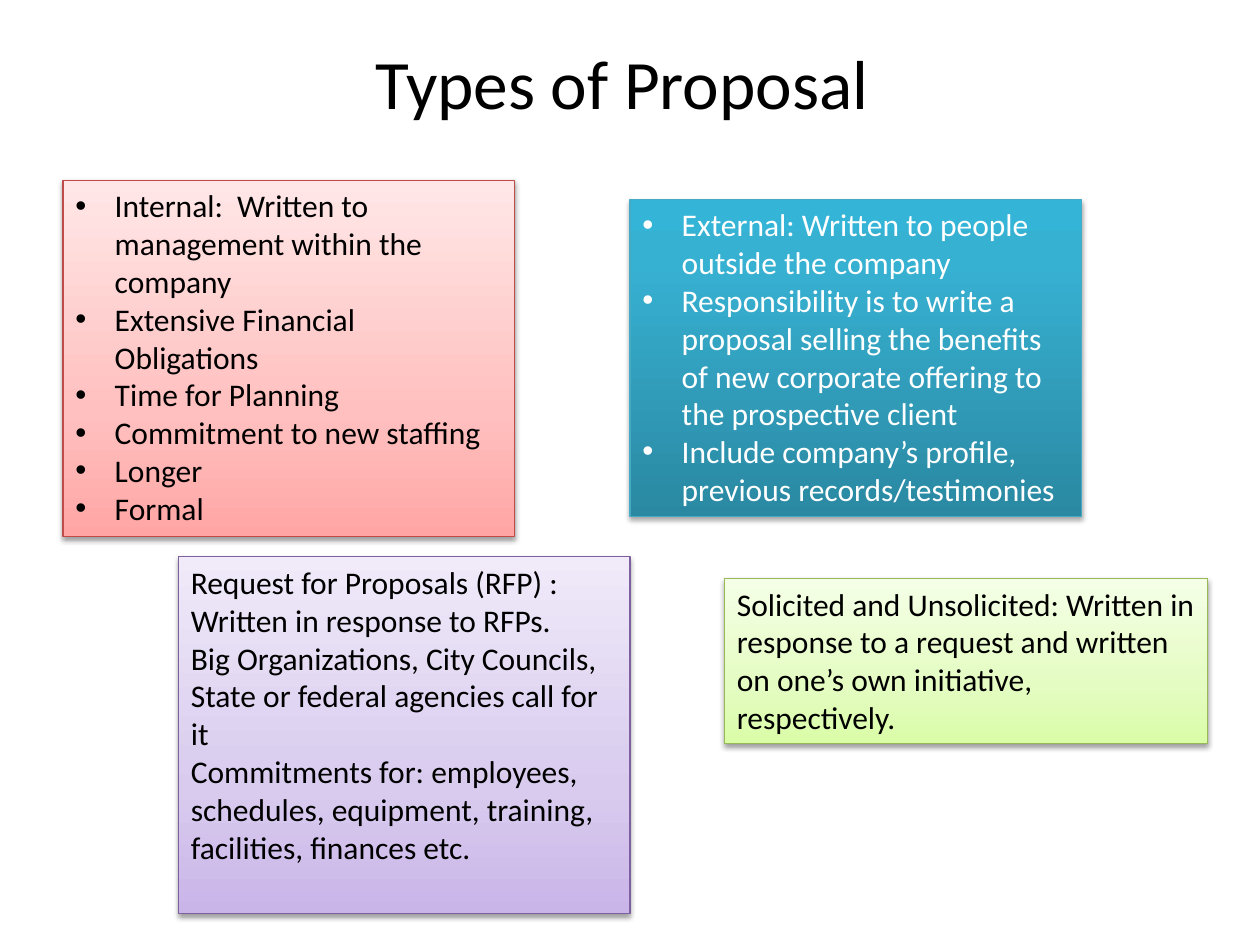
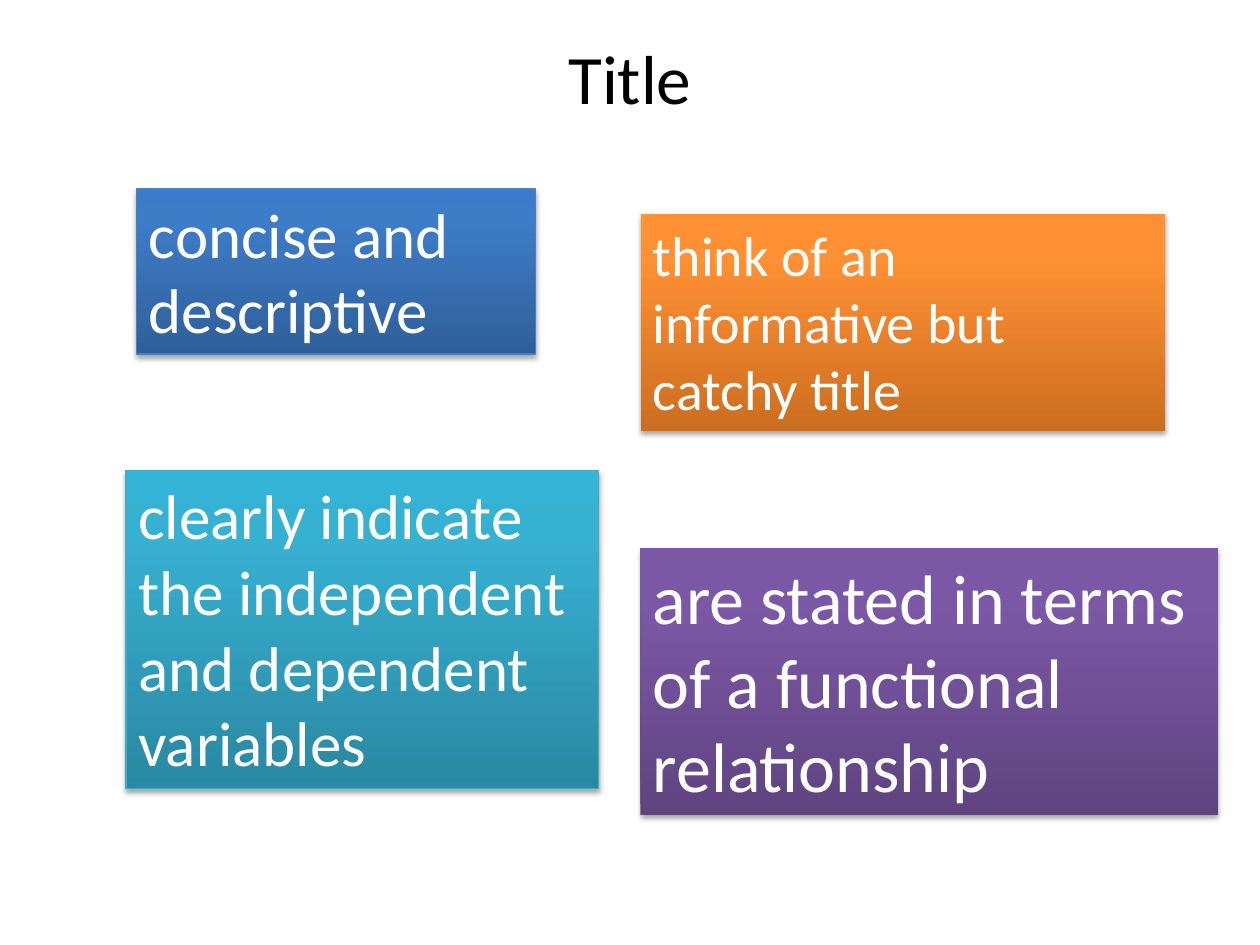
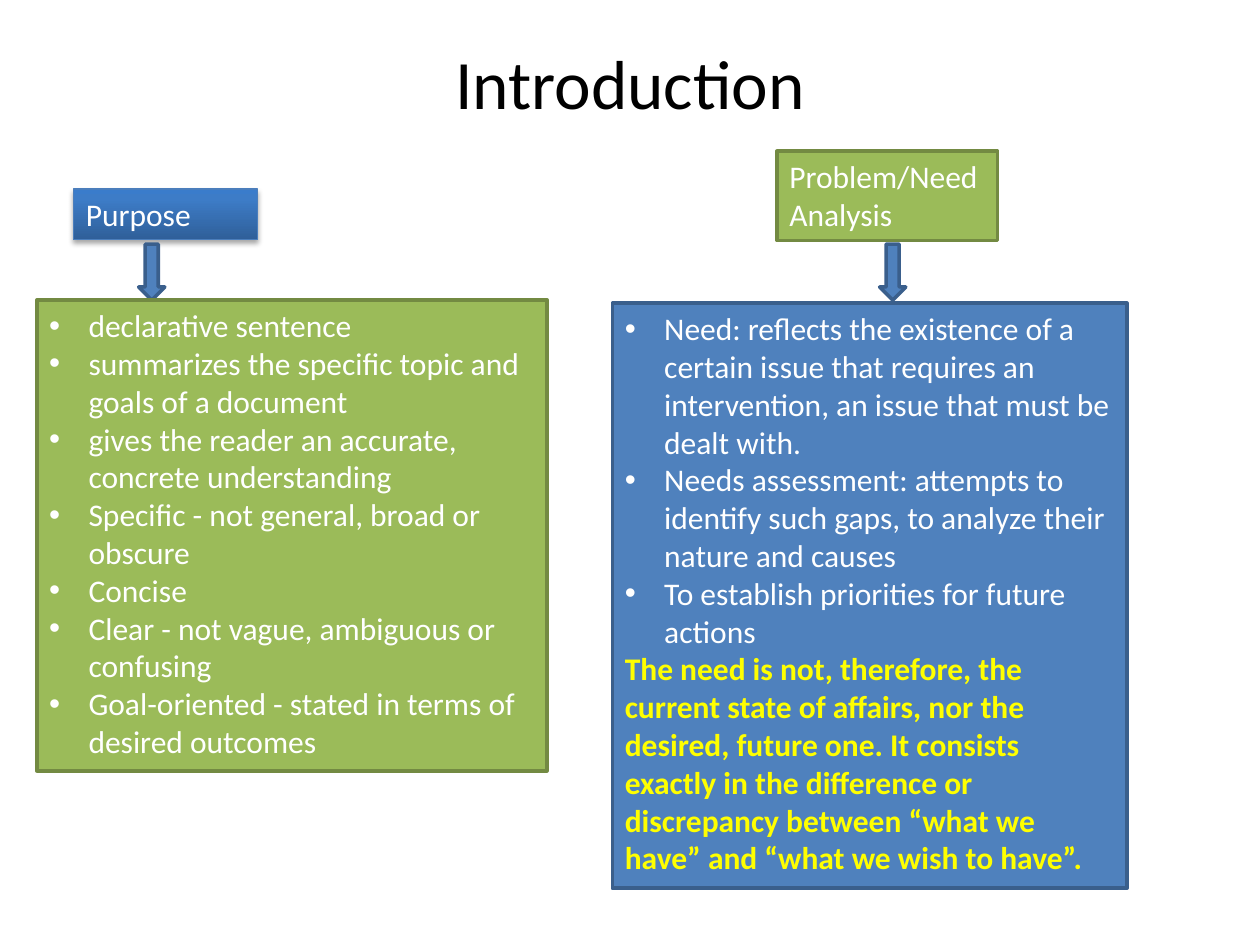
from dataclasses import dataclass
from typing import Optional

from lxml.etree import SubElement
from pptx import Presentation
from pptx.dml.color import RGBColor
from pptx.enum.shapes import MSO_SHAPE as Shape
from pptx.enum.text import MSO_ANCHOR as Anchor, MSO_AUTO_SIZE as AutoSize, PP_ALIGN as Align
from pptx.oxml.ns import qn
from pptx.util import Pt


@dataclass
class Look:
    """Fill stops run from the bottom of a card to its top."""
    ink: str
    stops: tuple
    line: Optional[str]
    line_width: float = 0.75
    shadow: Optional[tuple] = None  # opacity in %, distance in points


class Theme:
    font = "Calibri"
    black, white, yellow = "000000", "FFFFFF", "FFFF00"
    title_size, text_size = 39.6, 18
    large, larger, largest = 32, 36, 40
    bullet_indent = 22.5
    shadow_blur = 3.1
    soft, strong = (38, 1.6), (35, 1.8)

    pale_red = Look(black, ((0, "FFA6A5"), (35, "FFC0BF"), (100, "FFE7E7")), "BF4C48", shadow=soft)
    pale_purple = Look(black, ((0, "C9B5E8"), (35, "D8CBEE"), (100, "F0EAF9")), "7D60A0", shadow=soft)
    pale_green = Look(black, ((0, "DAFDA7"), (35, "E4FCC2"), (100, "F5FFE7")), "98B955", shadow=soft)
    teal = Look(white, ((0, "2A88A2"), (80, "37B1D2"), (100, "34B4D6")), "46AAC5", shadow=strong)
    blue = Look(white, ((0, "2F5F99"), (80, "3D7CC7"), (100, "3A7CCB")), "4B7EBC", shadow=strong)
    purple = Look(white, ((0, "5F4480"), (80, "7B58A6"), (100, "7C57A8")), None, shadow=strong)
    orange = Look(white, ((0, "CC6E20"), (80, "FF9034"), (100, "FF9136")), None, shadow=strong)
    flat_green = Look(white, ((0, "9BBB59"),), "738A42", 2)
    flat_blue = Look(white, ((0, "4F81BD"),), "3A5F8C", 2)


def write_para(frame, text, size=Theme.text_size, color=Theme.black, bold=False,
               bullet=False, align=Align.LEFT):
    """Fill the frame's empty first paragraph, or add another one."""
    para = frame.paragraphs[0] if not frame.text else frame.add_paragraph()
    para.alignment = align
    if bullet:
        props = para._p.get_or_add_pPr()
        props.set("marL", str(Pt(Theme.bullet_indent)))
        props.set("indent", str(-Pt(Theme.bullet_indent)))
        SubElement(props, qn("a:buFont"), typeface="Arial")
        SubElement(props, qn("a:buChar"), char="•")
    span = para.add_run()
    span.text = text
    span.font.name = Theme.font
    span.font.size = Pt(size)
    span.font.bold = bold
    span.font.color.rgb = RGBColor.from_string(color)


def add_card(page, place, look, texts=(), kind=Shape.RECTANGLE, **text_format):
    """Draw a shape in the given look and return its text frame."""
    box = page.shapes.add_shape(kind, *map(Pt, place))
    if len(look.stops) == 1:
        box.fill.solid()
        box.fill.fore_color.rgb = RGBColor.from_string(look.stops[0][1])
    else:
        box.fill.gradient()
        box.fill.gradient_angle = 90
        stop_list = box._element.spPr.find(qn("a:gradFill")).find(qn("a:gsLst"))
        stop_list.clear()
        for percent, color in look.stops:
            stop = SubElement(stop_list, qn("a:gs"), pos=str(percent * 1000))
            SubElement(stop, qn("a:srgbClr"), val=color)
    if look.line:
        box.line.color.rgb = RGBColor.from_string(look.line)
        box.line.width = Pt(look.line_width)
    else:
        box.line.fill.background()

    box.shadow.inherit = False
    if look.shadow:
        opacity, distance = look.shadow
        effects = box._element.spPr.find(qn("a:effectLst"))
        shadow = SubElement(effects, qn("a:outerShdw"), blurRad=str(Pt(Theme.shadow_blur)),
                            dist=str(Pt(distance)), dir="5400000", rotWithShape="0")
        shade = SubElement(shadow, qn("a:srgbClr"), val=Theme.black)
        SubElement(shade, qn("a:alpha"), val=str(opacity * 1000))

    frame = box.text_frame
    frame.word_wrap = True
    frame.vertical_anchor = Anchor.TOP
    for text in texts:
        write_para(frame, text, color=look.ink, **text_format)
    return frame


deck = Presentation()
deck.slide_width, deck.slide_height = Pt(720), Pt(540)

pages = []
for heading, height in (("Types of Proposal ", 50.4), ("Title", 44.6), ("Introduction", 50.4)):
    page = deck.slides.add_slide(deck.slide_layouts[5])
    title = page.shapes.title
    title.left, title.top, title.width, title.height = map(Pt, (36, 21.6, 648, height))
    title.text_frame.auto_size = AutoSize.NONE
    title.text_frame.vertical_anchor = Anchor.MIDDLE
    write_para(title.text_frame, heading, size=Theme.title_size, align=Align.CENTER)
    pages.append(page)
types_page, title_page, intro_page = pages

# Types of proposal
add_card(types_page, (36, 103, 258, 203.8), Theme.pale_red, (
    "Internal:  Written to management within the company",
    "Extensive Financial Obligations",
    "Time for Planning",
    "Commitment to new staffing",
    "Longer",
    "Formal",
), bullet=True)
add_card(types_page, (360, 113.8, 258, 181.4), Theme.teal, (
    "External: Written to people outside the company",
    "Responsibility is to write a proposal selling the benefits of new corporate offering "
    "to the prospective client",
    "Include company’s profile, previous records/testimonies",
), bullet=True)
add_card(types_page, (102, 318.2, 258, 203.8), Theme.pale_purple, (
    "Request for Proposals (RFP) : Written in response to RFPs.",
    "Big Organizations, City Councils, State or federal agencies call for it",
    "Commitments for: employees, schedules, equipment, training, facilities, finances etc.",
))
add_card(types_page, (414, 330.5, 276, 94.3), Theme.pale_green, (
    "Solicited and Unsolicited: Written in response to a request and written "
    "on one’s own initiative, respectively.",
))

# Qualities of a title
for place, look, size, text in (
    ((78, 108, 228, 94.3), Theme.blue, Theme.larger, "concise and descriptive"),
    ((366, 313.2, 330, 152.6), Theme.purple, Theme.largest,
     "are stated in terms of a functional relationship"),
    ((72, 269, 270, 181.4), Theme.teal, Theme.larger,
     "clearly indicate the independent and dependent variables"),
    ((366, 122.4, 300, 123.8), Theme.orange, Theme.large,
     "think of an informative but catchy title"),
):
    add_card(title_page, place, look, (text,), size=size)

# Parts of the introduction
add_card(intro_page, (42, 108, 105, 29), Theme.blue, ("Purpose",))
add_card(intro_page, (444, 86.4, 126, 51), Theme.flat_green, ("Problem/Need Analysis",))
for arrow_left in (79.2, 502.6):
    add_card(intro_page, (arrow_left, 139.5, 15, 32), Theme.flat_blue, kind=Shape.DOWN_ARROW)
add_card(intro_page, (21, 171.5, 291.6, 269), Theme.flat_green, (
    "declarative sentence",
    "summarizes the specific topic and goals of a document",
    "gives the reader an accurate, concrete understanding",
    "Specific - not general, broad or obscure",
    "Concise",
    "Clear - not vague, ambiguous or confusing",
    "Goal-oriented - stated in terms of desired outcomes",
), bullet=True)
need_frame = add_card(intro_page, (350, 173.2, 294, 334.4), Theme.flat_blue, (
    "Need: reflects the existence of a certain issue that requires an intervention, "
    "an issue that must be dealt with.",
    "Needs assessment: attempts to identify such gaps, to analyze their nature and causes",
    "To establish priorities for future actions",
), bullet=True)
write_para(
    need_frame,
    "The need is not, therefore, the current state of affairs, nor the desired, future one. "
    "It consists exactly in the difference or discrepancy between “what we have” "
    "and “what we wish to have”.",
    color=Theme.yellow, bold=True)

deck.save("out.pptx")
